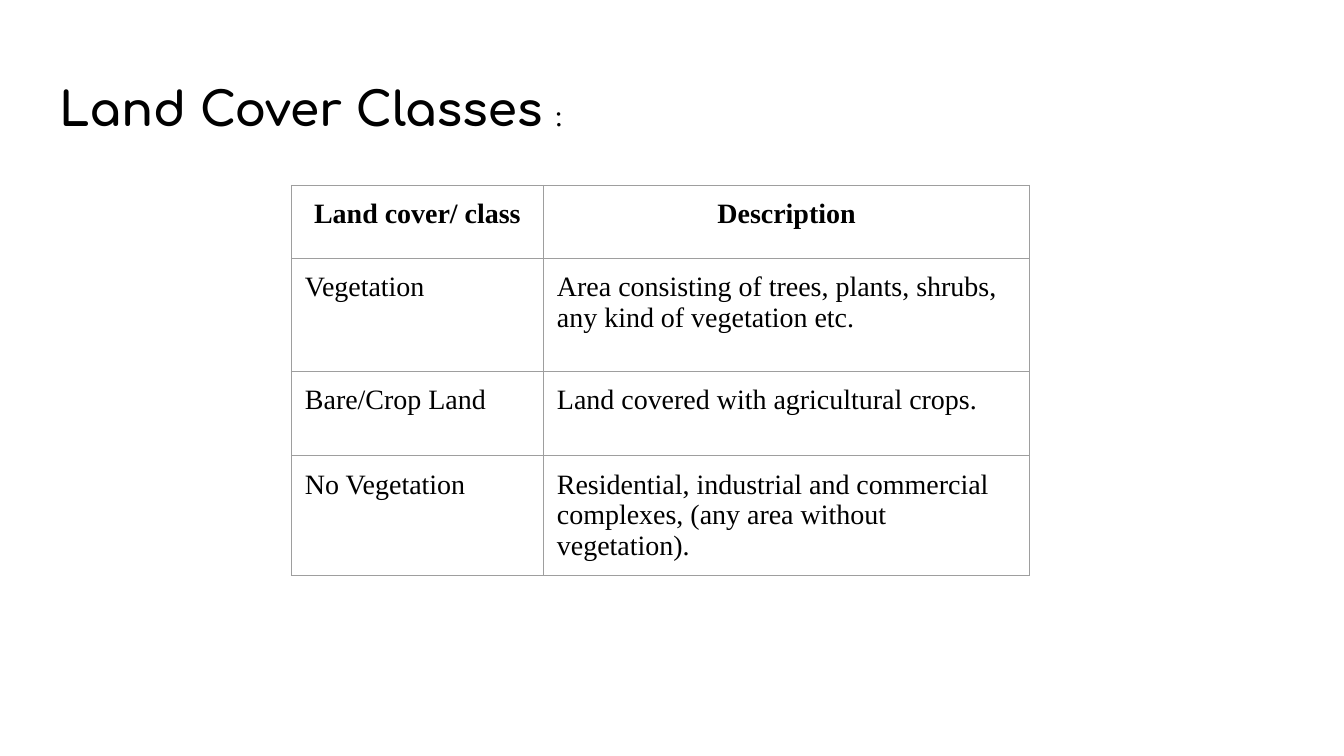
from lxml.etree import SubElement
from pptx import Presentation
from pptx.dml.color import RGBColor as RGB
from pptx.enum.text import MSO_ANCHOR as ANCHOR, PP_ALIGN as ALIGN
from pptx.oxml.ns import qn
from pptx.util import Pt

THEME = {
    "text": RGB(0, 0, 0),
    "background": RGB(255, 255, 255),
    "border": "9E9E9E",
    "border_width": Pt(0.75),
    "title_font": "Comfortaa",
    "table_font": "Times New Roman",
    "title_size": Pt(25.2),
    "colon_size": Pt(13.5),
    "table_size": Pt(15),
    "inset": Pt(7.2),
}

TITLE = [("Land Cover Classes ", "title_size"), (":", "colon_size")]
CLASSES = [
    ("Land cover/ class", "Description"),
    ("Vegetation", "Area consisting of trees, plants, shrubs, any kind of vegetation etc."),
    ("Bare/Crop Land", "Land covered with agricultural crops."),
    ("No Vegetation", "Residential, industrial and commercial complexes, (any area without vegetation)."),
]
TITLE_BOX = (24.5, 35.3, 671, 45.4)
TABLE_LEFT, TABLE_TOP = 156.2, 99.4
COLUMN_WIDTHS = (135, 260.5)
ROW_HEIGHTS = (39, 60.5, 45.3, 60.5)


def add_run(p, text, font, size, bold):
    r = p.add_run()
    r.text = text
    r.font.name = THEME[font]
    r.font.size = THEME[size]
    r.font.bold = bold
    r.font.color.rgb = THEME["text"]


def set_insets(box):
    box.margin_left = box.margin_right = THEME["inset"]
    box.margin_top = box.margin_bottom = THEME["inset"]


def add_borders(cell):
    props = cell._tc.get_or_add_tcPr()
    for i, side in enumerate(("lnL", "lnR", "lnT", "lnB")):
        line = props.makeelement(qn(f"a:{side}"), {"w": str(THEME["border_width"])})
        fill = SubElement(line, qn("a:solidFill"))
        SubElement(fill, qn("a:srgbClr"), val=THEME["border"])
        props.insert(i, line)


def add_title(s):
    title = s.shapes.title
    title.left, title.top, title.width, title.height = map(Pt, TITLE_BOX)
    tf = title.text_frame
    tf.word_wrap = True
    tf.vertical_anchor = ANCHOR.TOP
    set_insets(tf)
    p = tf.paragraphs[0]
    p.alignment = ALIGN.LEFT
    for text, size in TITLE:
        add_run(p, text, "title_font", size, True)


def add_class_table(s):
    table = s.shapes.add_table(
        len(CLASSES), len(COLUMN_WIDTHS), Pt(TABLE_LEFT), Pt(TABLE_TOP),
        Pt(sum(COLUMN_WIDTHS)), Pt(sum(ROW_HEIGHTS))).table
    table.first_row = table.horz_banding = False
    for column, width in zip(table.columns, COLUMN_WIDTHS):
        column.width = Pt(width)
    for i, (row, height, texts) in enumerate(zip(table.rows, ROW_HEIGHTS, CLASSES)):
        row.height = Pt(height)
        header = i == 0
        for cell, text in zip(row.cells, texts):
            set_insets(cell)
            cell.fill.background()
            add_borders(cell)
            p = cell.text_frame.paragraphs[0]
            p.alignment = ALIGN.CENTER if header else ALIGN.LEFT
            add_run(p, text, "table_font", "table_size", header)


def main():
    prs = Presentation()
    prs.slide_width, prs.slide_height = Pt(720), Pt(405)
    s = prs.slides.add_slide(prs.slide_layouts[5])
    s.background.fill.solid()
    s.background.fill.fore_color.rgb = THEME["background"]
    add_title(s)
    add_class_table(s)
    prs.save("out.pptx")


if __name__ == "__main__":
    main()
